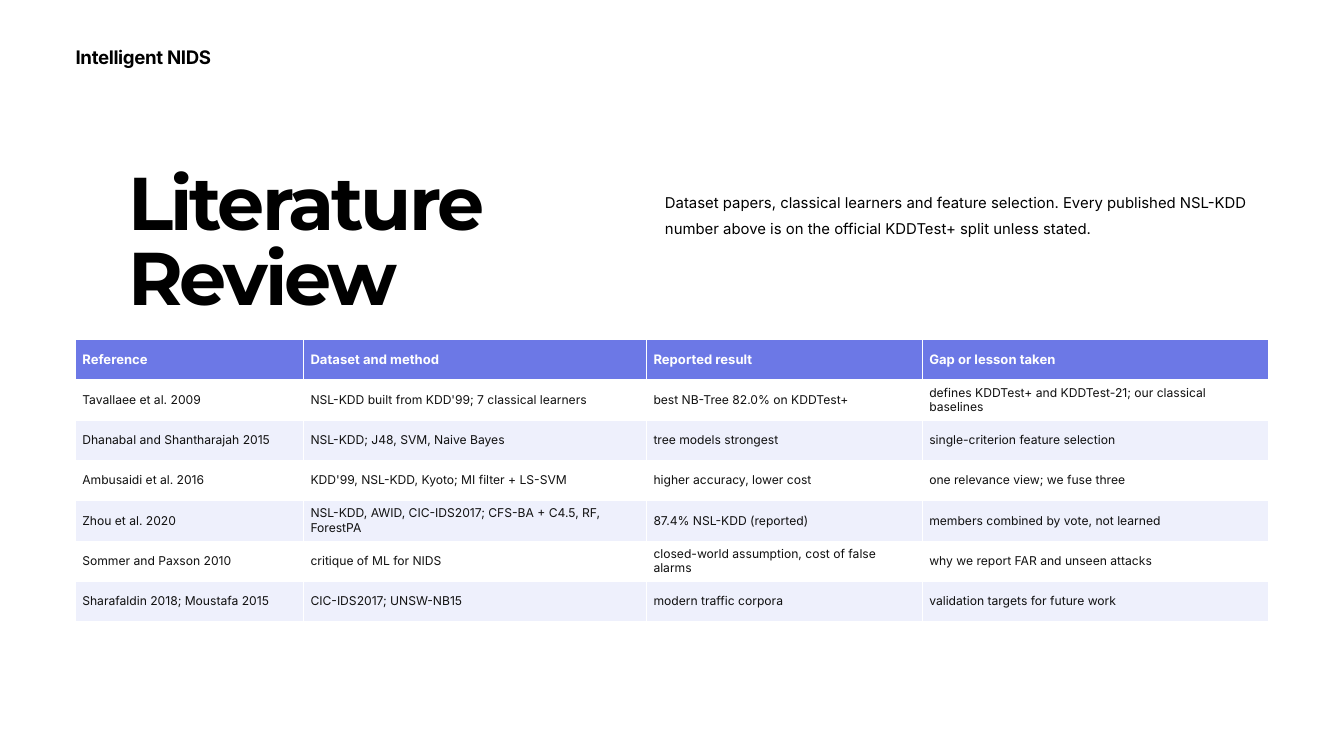
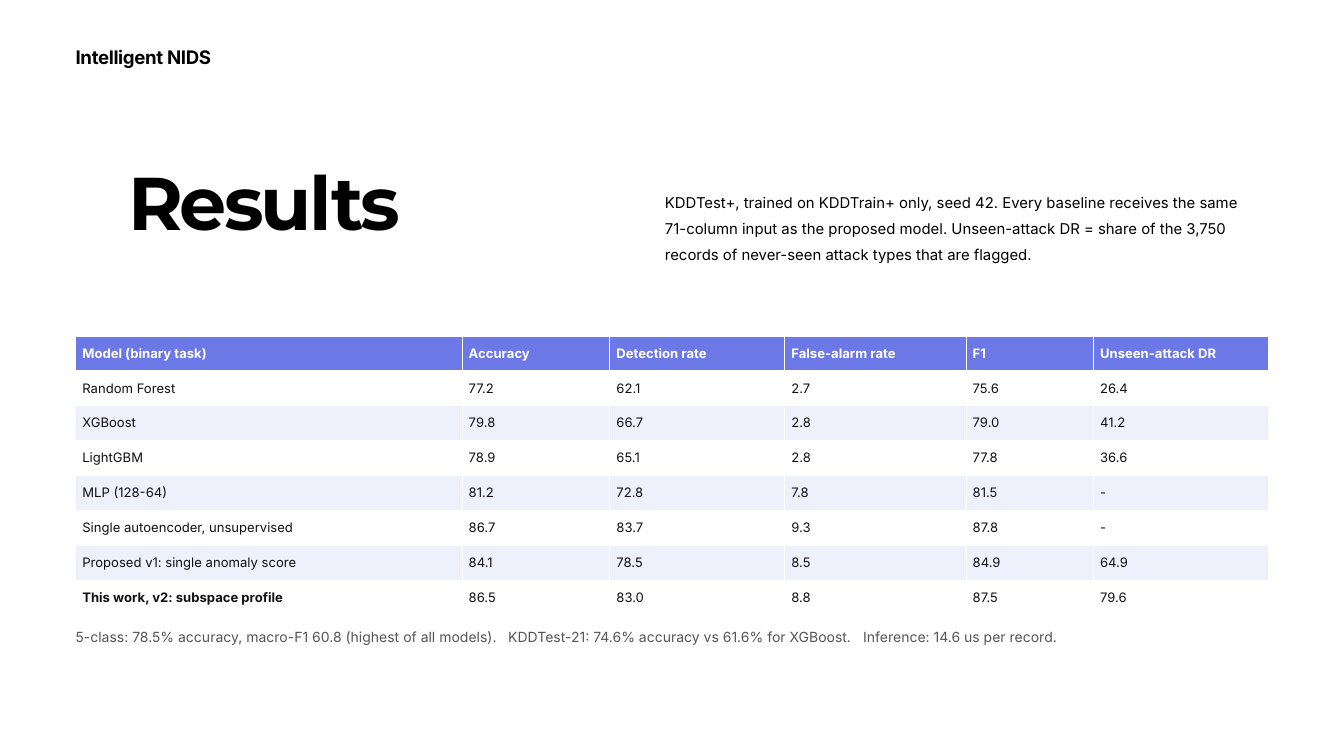
from itertools import accumulate

from lxml.etree import SubElement
from pptx import Presentation
from pptx.dml.color import RGBColor
from pptx.enum.text import MSO_ANCHOR, MSO_AUTO_SIZE
from pptx.oxml.ns import qn
from pptx.util import Emu, Pt

PX = 9525
COLORS = {
    "ink": "000000",
    "accent": "6C78E6",
    "header_text": "FFFFFF",
    "row": "FFFFFF",
    "row_alt": "EEF0FC",
    "cell_text": "111111",
    "note": "555555",
}
BODY_FONT = "Inter"
TITLE_FONT = "Montserrat"

BRAND_BOX = (108, 64, 339, 34)
TITLE_BOX = (183, 244, 673, 217)
INTRO_BOX = (950, 265, 840, 182)
REVIEW_BOX = (108, 485, 1704, 403)
RESULTS_BOX = (108, 480, 1704, 399)
NOTE_BOX = (108, 898, 1704, 48)

REVIEW_COLUMNS = (326, 490, 394, 494)
REVIEW_ROWS = [
    ("Reference", "Dataset and method", "Reported result", "Gap or lesson taken"),
    ("Tavallaee et al. 2009", "NSL-KDD built from KDD'99; 7 classical learners",
     "best NB-Tree 82.0% on KDDTest+",
     "defines KDDTest+ and KDDTest-21; our classical baselines"),
    ("Dhanabal and Shantharajah 2015", "NSL-KDD; J48, SVM, Naive Bayes",
     "tree models strongest", "single-criterion feature selection"),
    ("Ambusaidi et al. 2016", "KDD'99, NSL-KDD, Kyoto; MI filter + LS-SVM",
     "higher accuracy, lower cost", "one relevance view; we fuse three"),
    ("Zhou et al. 2020", "NSL-KDD, AWID, CIC-IDS2017; CFS-BA + C4.5, RF, ForestPA",
     "87.4% NSL-KDD (reported)", "members combined by vote, not learned"),
    ("Sommer and Paxson 2010", "critique of ML for NIDS",
     "closed-world assumption, cost of false alarms",
     "why we report FAR and unseen attacks"),
    ("Sharafaldin 2018; Moustafa 2015", "CIC-IDS2017; UNSW-NB15",
     "modern traffic corpora", "validation targets for future work"),
]

RESULTS_COLUMNS = (552, 211, 250, 259, 182, 250)
RESULTS_ROWS = [
    ("Model (binary task)", "Accuracy", "Detection rate", "False-alarm rate",
     "F1", "Unseen-attack DR"),
    ("Random Forest", "77.2", "62.1", "2.7", "75.6", "26.4"),
    ("XGBoost", "79.8", "66.7", "2.8", "79.0", "41.2"),
    ("LightGBM", "78.9", "65.1", "2.8", "77.8", "36.6"),
    ("MLP (128-64)", "81.2", "72.8", "7.8", "81.5", "-"),
    ("Single autoencoder, unsupervised", "86.7", "83.7", "9.3", "87.8", "-"),
    ("Proposed v1: single anomaly score", "84.1", "78.5", "8.5", "84.9", "64.9"),
    ("This work, v2: subspace profile", "86.5", "83.0", "8.8", "87.5", "79.6"),
]
NOTE_PARTS = (
    "5-class: 78.5% accuracy, macro-F1 60.8 (highest of all models).",
    "KDDTest-21: 74.6% accuracy vs 61.6% for XGBoost.",
    "Inference: 14.6 us per record.",
)
NOTE_STEPS = (618, 507)


def px(length):
    return Emu(round(length * PX))


def color(name):
    return RGBColor.from_string(COLORS[name])


def style(para, size, ink, font=BODY_FONT, bold=False, tracking=0):
    for span in para.runs:
        span.font.name = font
        span.font.size = Pt(size)
        span.font.bold = bold
        span.font.color.rgb = color(ink)
        if tracking:
            span.font._element.set("spc", str(round(tracking * 100)))


def add_text(page, box, text, size, ink="ink", leading=None, **look):
    frame = page.shapes.add_textbox(*map(px, box)).text_frame
    frame.word_wrap = True
    frame.auto_size = MSO_AUTO_SIZE.SHAPE_TO_FIT_TEXT
    frame.margin_left = frame.margin_right = 0
    frame.margin_top = frame.margin_bottom = 0
    para = frame.paragraphs[0]
    para.text = text
    if leading:
        para.line_spacing = Pt(leading)
    style(para, size, ink, **look)
    return para


def add_heading(page, title, intro):
    add_text(page, TITLE_BOX, title, 80, leading=80, font=TITLE_FONT,
             bold=True, tracking=-3.2)
    add_text(page, INTRO_BOX, intro, 16, leading=27.9)
    add_text(page, BRAND_BOX, "Intelligent NIDS", 20, leading=25,
             bold=True, tracking=-0.4)


def add_grid(page, box, widths, rows, body_size, bold_label=None):
    grid = page.shapes.add_table(len(rows), len(widths), *map(px, box)).table
    for column, width in zip(grid.columns, widths):
        column.width = px(width)
    for index, values in enumerate(rows):
        grid.rows[index].height = px(box[3] / len(rows))
        header = index == 0
        fill = "accent" if header else "row" if index % 2 else "row_alt"
        for position, value in enumerate(values):
            cell = grid.cell(index, position)
            cell.fill.solid()
            cell.fill.fore_color.rgb = color(fill)
            cell.vertical_anchor = MSO_ANCHOR.MIDDLE
            cell.text_frame.text = value
            style(cell.text_frame.paragraphs[0],
                  14 if header else body_size,
                  "header_text" if header else "cell_text",
                  bold=header or value == bold_label)


def add_note(page):
    para = add_text(page, NOTE_BOX, "\t".join(NOTE_PARTS), 15, "note")
    tabs = SubElement(para._p.get_or_add_pPr(), qn("a:tabLst"))
    for stop in accumulate(NOTE_STEPS):
        SubElement(tabs, qn("a:tab"), pos=str(px(stop)), algn="l")


def add_review_page(page):
    add_heading(page, "Literature Review",
                "Dataset papers, classical learners and feature selection. "
                "Every published NSL-KDD number above is on the official "
                "KDDTest+ split unless stated.")
    add_grid(page, REVIEW_BOX, REVIEW_COLUMNS, REVIEW_ROWS, 13)


def add_results_page(page):
    add_heading(page, "Results",
                "KDDTest+, trained on KDDTrain+ only, seed 42. Every baseline "
                "receives the same 71-column input as the proposed model. "
                "Unseen-attack DR = share of the 3,750 records of never-seen "
                "attack types that are flagged.")
    add_grid(page, RESULTS_BOX, RESULTS_COLUMNS, RESULTS_ROWS, 14,
             bold_label=RESULTS_ROWS[-1][0])
    add_note(page)


def main():
    deck = Presentation()
    deck.slide_width, deck.slide_height = px(1920), px(1080)
    for fill_page in (add_review_page, add_results_page):
        fill_page(deck.slides.add_slide(deck.slide_layouts[6]))
    deck.save("out.pptx")


if __name__ == "__main__":
    main()
